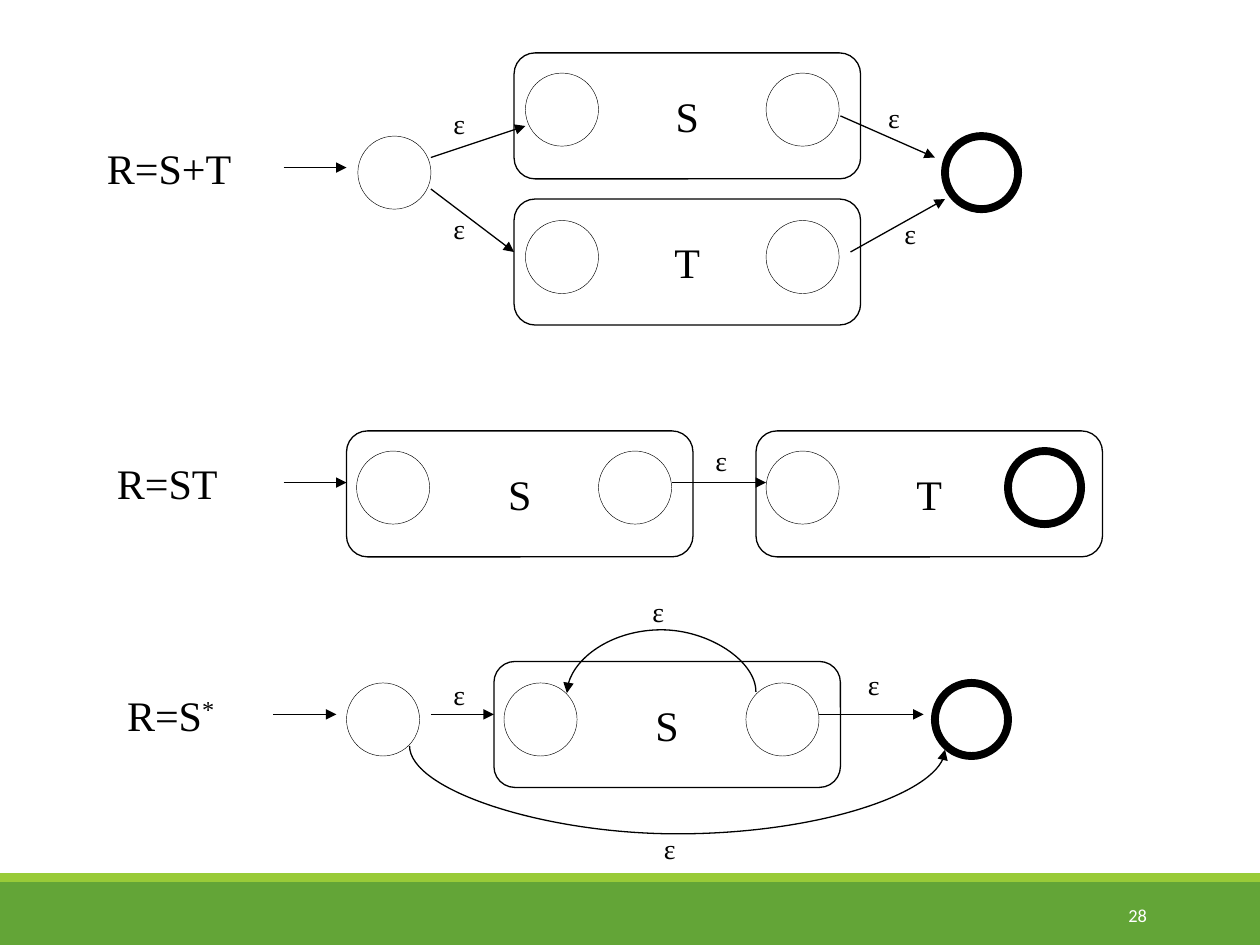
from dataclasses import dataclass

from lxml import etree
from pptx import Presentation
from pptx.dml.color import RGBColor
from pptx.enum import shapes, text
from pptx.oxml import ns
from pptx.util import Inches, Pt


@dataclass(frozen=True)
class Theme:
    ink: RGBColor = RGBColor(0x00, 0x00, 0x00)
    paper: RGBColor = RGBColor(0xFF, 0xFF, 0xFF)
    green: RGBColor = RGBColor(0x63, 0xA5, 0x37)
    lime: RGBColor = RGBColor(0x99, 0xCB, 0x38)
    diagram_font: str = "Times New Roman"
    footer_font: str = "Calibri"
    label_size: float = 24
    epsilon_size: float = 16
    footer_size: float = 10.5
    thin: float = 0.25
    normal: float = 0.75
    thick: float = 4.5


theme = Theme()
presentation = Presentation()
presentation.slide_width, presentation.slide_height = Inches(10), Inches(7.5)
slide = presentation.slides.add_slide(presentation.slide_layouts[6])


def add_outline(preset, left, top, width, height, line_width):
    """Add an unfilled shape with a black outline."""
    shape = slide.shapes.add_shape(
        preset, Inches(left), Inches(top), Inches(width), Inches(height))
    shape.shadow.inherit = False
    shape.fill.background()
    shape.line.color.rgb = theme.ink
    shape.line.width = Pt(line_width)
    return shape


def add_run(paragraph, words, size, color=theme.ink, font=theme.diagram_font):
    run = paragraph.add_run()
    run.text = words
    run.font.size = Pt(size)
    run.font.name = font
    run.font.color.rgb = color
    return run


# Footer bands
for top, height, color in [(7, 0.5, theme.green), (6.93, 0.07, theme.lime)]:
    band = slide.shapes.add_shape(
        shapes.MSO_SHAPE.RECTANGLE, 0, Inches(top), Inches(10), Inches(height))
    band.shadow.inherit = False
    band.fill.solid()
    band.fill.fore_color.rgb = color
    band.line.fill.background()

# Sub-automata: left, top, name
for left, top, name in [
    (4.08, 0.42, "S"), (4.08, 1.58, "T"),  # union
    (2.75, 3.42, "S"), (6, 3.42, "T"),     # concatenation
    (3.92, 5.25, "S"),                     # closure
]:
    automaton = add_outline(
        shapes.MSO_SHAPE.ROUNDED_RECTANGLE, left, top, 2.75, 1, theme.normal)
    automaton.adjustments[0] = 1 / 6
    frame = automaton.text_frame
    frame.word_wrap = False
    frame.vertical_anchor = text.MSO_ANCHOR.MIDDLE
    paragraph = frame.paragraphs[0]
    paragraph.alignment = text.PP_ALIGN.CENTER
    add_run(paragraph, name, theme.label_size)

# States: plain ones thin, accepting ones thick
plain_states = [
    (2.84, 1.08), (4.17, 0.58), (4.17, 1.75), (6.08, 0.58), (6.08, 1.75),
    (2.83, 3.58), (4.75, 3.58), (6.08, 3.58),
    (2.75, 5.42), (4, 5.42), (5.92, 5.42),
]
accepting_states = [(7.5, 1.08), (8, 3.58), (7.42, 5.42)]
for states, line_width in [(plain_states, theme.thin), (accepting_states, theme.thick)]:
    for left, top in states:
        add_outline(shapes.MSO_SHAPE.OVAL, left, top, 0.58, 0.58, line_width)

# Transitions: start, end, and the vertical bulge of a curve (0 when straight)
for (x1, y1), (x2, y2), bulge in [
    ((2.25, 1.33), (2.75, 1.33), 0),
    ((3.42, 1.25), (4.17, 1), 0),
    ((3.42, 1.5), (4.08, 2), 0),
    ((6.75, 2), (7.5, 1.58), 0),
    ((6.67, 0.92), (7.42, 1.25), 0),
    ((2.25, 3.83), (2.75, 3.83), 0),
    ((5.33, 3.83), (6.08, 3.83), 0),
    ((2.17, 5.67), (2.67, 5.67), 0),
    ((3.42, 5.67), (3.92, 5.67), 0),
    ((6.5, 5.67), (7.33, 5.67), 0),
    ((6, 5.49), (4.5, 5.5), -0.5),
    ((3.25, 5.92), (7.5, 5.95), 0.7),
]:
    kind = shapes.MSO_CONNECTOR.STRAIGHT
    begin, end = (x1, y1), (x2, y2)
    if bulge:
        # A curve is laid out upright, then turned by 270 degrees
        kind = shapes.MSO_CONNECTOR.CURVE
        middle_x, middle_y = (x1 + x2) / 2, (y1 + y2) / 2
        half_width, half_height = (y2 - y1) / 2, (x2 - x1) / 2
        begin = (middle_x + half_width, middle_y - half_height)
        end = (middle_x - half_width, middle_y + half_height)
    arrow = slide.shapes.add_connector(
        kind, *(Inches(value) for value in begin + end))
    arrow.line.color.rgb = theme.ink
    arrow.line.width = Pt(theme.normal)
    properties = arrow._element.spPr
    if bulge:
        properties.find(ns.qn("a:xfrm")).set("rot", str(270 * 60000))
        guides = properties.find(ns.qn("a:prstGeom")).find(ns.qn("a:avLst"))
        ratio = round(bulge / (y2 - y1) * 100000)
        etree.SubElement(guides, ns.qn("a:gd"), name="adj1", fmla=f"val {ratio}")
    etree.SubElement(properties.find(ns.qn("a:ln")), ns.qn("a:tailEnd"), type="triangle")
    etree.SubElement(properties, ns.qn("a:effectLst"))

# Expressions and transition labels: position, size, words, superscript
expressions = [
    (0.75, 1.08, 1.19, 0.5, theme.label_size, "R=S+T", ""),
    (0.83, 3.58, 1, 0.5, theme.label_size, "R=ST", ""),
    (0.91, 5.42, 0.91, 0.5, theme.label_size, "R=S", "*"),
]
epsilons = [
    (left, top, 0.3, 0.37, theme.epsilon_size, "ε", "")
    for left, top in [
        (3.5, 0.8), (3.5, 1.63), (6.95, 0.75), (7.08, 1.67), (5.58, 3.47),
        (3.5, 5.33), (5.17, 6.55), (5.08, 4.67), (6.79, 5.25),
    ]
]
for left, top, width, height, size, words, superscript in expressions + epsilons:
    label = slide.shapes.add_textbox(
        Inches(left), Inches(top), Inches(width), Inches(height))
    label.text_frame.word_wrap = False
    label.text_frame.auto_size = text.MSO_AUTO_SIZE.SHAPE_TO_FIT_TEXT
    paragraph = label.text_frame.paragraphs[0]
    add_run(paragraph, words, size)
    if superscript:
        run = add_run(paragraph, superscript, size)
        run._r.get_or_add_rPr().set("baseline", "30000")

# Slide number
number = slide.shapes.add_textbox(Inches(8.12), Inches(7.06), Inches(1.08), Inches(0.4))
number.text_frame.word_wrap = True
number.text_frame.vertical_anchor = text.MSO_ANCHOR.MIDDLE
paragraph = number.text_frame.paragraphs[0]
paragraph.alignment = text.PP_ALIGN.RIGHT
add_run(paragraph, "28", theme.footer_size, theme.paper, theme.footer_font)

presentation.save("out.pptx")
